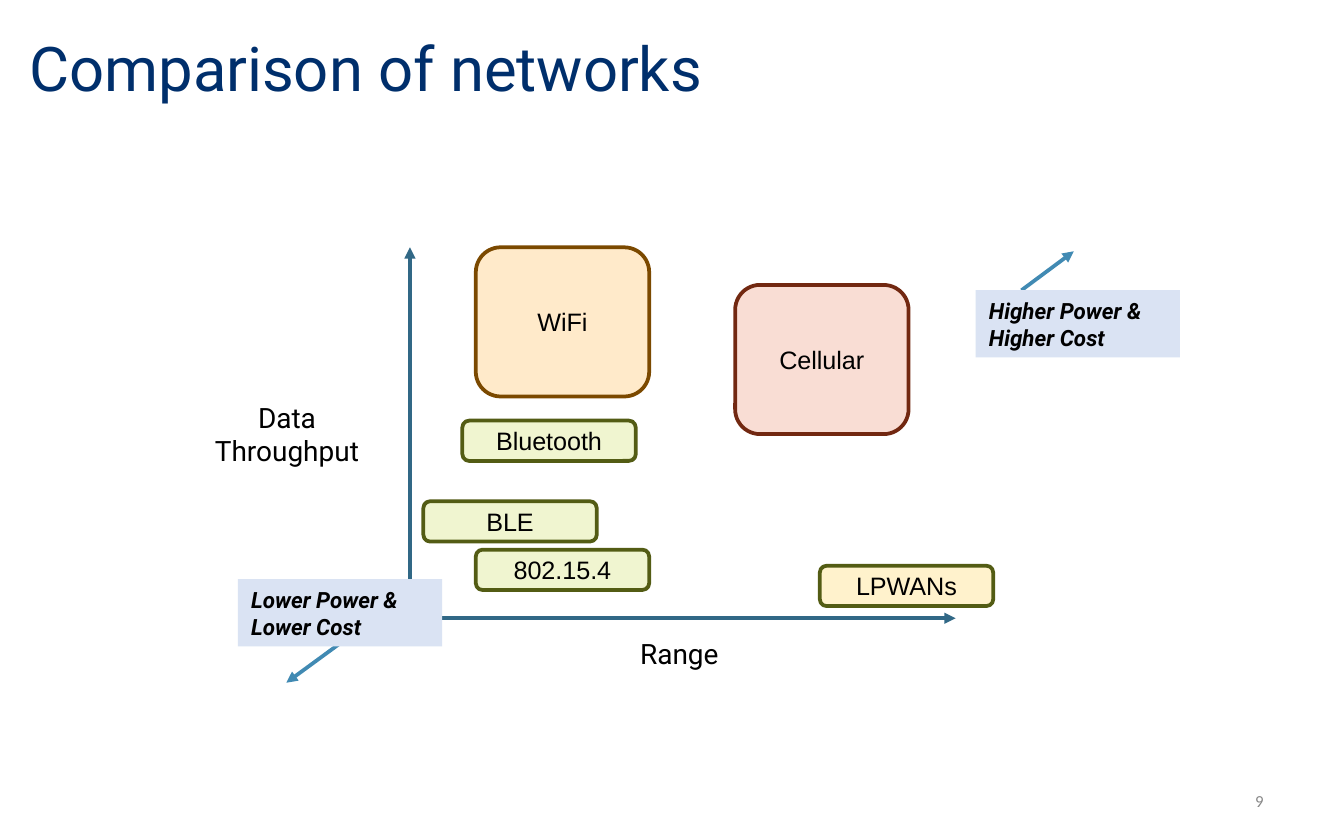
from dataclasses import dataclass

import lxml.etree
import pptx
import pptx.dml.color
import pptx.enum.shapes
import pptx.enum.text
import pptx.oxml.ns
import pptx.util

Inches = pptx.util.Inches
Pt = pptx.util.Pt
Align = pptx.enum.text.PP_ALIGN
Anchor = pptx.enum.text.MSO_ANCHOR
Preset = pptx.enum.shapes.MSO_SHAPE


@dataclass(frozen=True)
class TextStyle:
    font: str
    size: float
    color: str = "000000"
    align: Align = Align.LEFT
    anchor: Anchor = Anchor.TOP
    emphasis: bool = False
    line_spacing: float = 1.0


@dataclass(frozen=True)
class Theme:
    title = TextStyle("Roboto", 33, "002F6C", anchor=Anchor.MIDDLE, line_spacing=0.9)
    page_number = TextStyle("Calibri", 9, "888888", Align.RIGHT, Anchor.MIDDLE)
    network = TextStyle("Arial", 13.5, align=Align.CENTER, anchor=Anchor.MIDDLE)
    axis_label = TextStyle("Roboto", 15, align=Align.CENTER)
    note = TextStyle("Roboto", 12, emphasis=True)
    axis = "316886"
    trend = "418AB3"
    note_fill = "DAE3F3"
    green, olive = "F0F5D0", "535C14"
    orange, brown = "FFEACA", "7B4900"
    pink, maroon = "F9DDD4", "722811"
    yellow = "FFF2CC"
    line_width = 2


@dataclass(frozen=True)
class Box:
    left: float
    top: float
    width: float
    height: float

    def lengths(self) -> tuple:
        return tuple(Inches(v) for v in (self.left, self.top, self.width, self.height))


@dataclass(frozen=True)
class Network:
    name: str
    left: float
    top: float
    height: float
    fill: str
    line: str


@dataclass(frozen=True)
class Arrow:
    start: tuple[float, float]
    end: tuple[float, float]
    color: str


THEME = Theme()
NETWORK_WIDTH = 1.29
TALL, SHORT = 1.11, 0.3
ORIGIN = (3.05, 4.6)

NETWORKS = [
    Network("Bluetooth", 3.44, 3.13, SHORT, THEME.green, THEME.olive),
    Network("WiFi", 3.54, 1.84, TALL, THEME.orange, THEME.brown),
    Network("Cellular", 5.47, 2.12, TALL, THEME.pink, THEME.maroon),
    Network("BLE", 3.15, 3.73, SHORT, THEME.green, THEME.olive),
    Network("802.15.4", 3.54, 4.09, SHORT, THEME.green, THEME.olive),
    Network("LPWANs", 6.1, 4.21, SHORT, THEME.yellow, THEME.olive),
]
ARROWS = [
    Arrow((2.54, 4.78), (2.13, 5.08), THEME.trend),
    Arrow((7.6, 2.16), (7.99, 1.87), THEME.trend),
    Arrow(ORIGIN, (3.05, 1.84), THEME.axis),
    Arrow(ORIGIN, (7.11, 4.6), THEME.axis),
]
# In these texts \n starts a paragraph and \v breaks a line within one.
LABELS = [
    ("Comparison of networks", Box(0.12, 0.1, 8.52, 0.86), THEME.title),
    ("9", Box(8, 5.79, 1.5, 0.33), THEME.page_number),
    ("Data\nThroughput", Box(1.39, 2.93, 1.49, 0.61), THEME.axis_label),
    ("Range", Box(4.49, 4.69, 1.13, 0.35), THEME.axis_label),
]
NOTES = [
    ("Lower Power &\vLower Cost", Box(1.77, 4.31, 1.52, 0.5)),
    ("Higher Power &\vHigher Cost", Box(7.26, 2.16, 1.52, 0.5)),
]


def rgb(color: str) -> pptx.dml.color.RGBColor:
    return pptx.dml.color.RGBColor.from_string(color)


def write_text(shape, text: str, style: TextStyle) -> None:
    frame = shape.text_frame
    frame.word_wrap = True
    frame.vertical_anchor = style.anchor
    frame.text = text
    for paragraph in frame.paragraphs:
        paragraph.alignment = style.align
        paragraph.line_spacing = style.line_spacing
        paragraph.font.name = style.font
        paragraph.font.size = Pt(style.size)
        paragraph.font.color.rgb = rgb(style.color)
        paragraph.font.bold = style.emphasis
        paragraph.font.italic = style.emphasis


def draw_label(slide, text: str, box: Box, style: TextStyle) -> None:
    write_text(slide.shapes.add_textbox(*box.lengths()), text, style)


def draw_shape(slide, preset: Preset, box: Box, fill: str, line: str | None,
               text: str, style: TextStyle) -> None:
    shape = slide.shapes.add_shape(preset, *box.lengths())
    shape.shadow.inherit = False
    shape.fill.solid()
    shape.fill.fore_color.rgb = rgb(fill)
    if line:
        shape.line.color.rgb = rgb(line)
        shape.line.width = Pt(THEME.line_width)
    else:
        shape.line.fill.background()
    write_text(shape, text, style)


def draw_arrow(slide, arrow: Arrow) -> None:
    ends = [Inches(v) for v in (*arrow.start, *arrow.end)]
    connector = slide.shapes.add_connector(
        pptx.enum.shapes.MSO_CONNECTOR.STRAIGHT, *ends)
    connector.line.color.rgb = rgb(arrow.color)
    connector.line.width = Pt(THEME.line_width)
    qualified = pptx.oxml.ns.qn
    lxml.etree.SubElement(
        connector.line._get_or_add_ln(), qualified("a:tailEnd"), type="triangle")
    lxml.etree.SubElement(connector._element.spPr, qualified("a:effectLst"))


def main() -> None:
    presentation = pptx.Presentation()
    presentation.slide_width = Inches(10)
    presentation.slide_height = Inches(6.25)
    slide = presentation.slides.add_slide(presentation.slide_layouts[6])

    for arrow in ARROWS:
        draw_arrow(slide, arrow)
    for network in NETWORKS:
        box = Box(network.left, network.top, NETWORK_WIDTH, network.height)
        draw_shape(slide, Preset.ROUNDED_RECTANGLE, box, network.fill,
                   network.line, network.name, THEME.network)
    for text, box, style in LABELS:
        draw_label(slide, text, box, style)
    for text, box in NOTES:
        draw_shape(slide, Preset.RECTANGLE, box, THEME.note_fill, None,
                   text, THEME.note)

    presentation.save("out.pptx")


if __name__ == "__main__":
    main()
